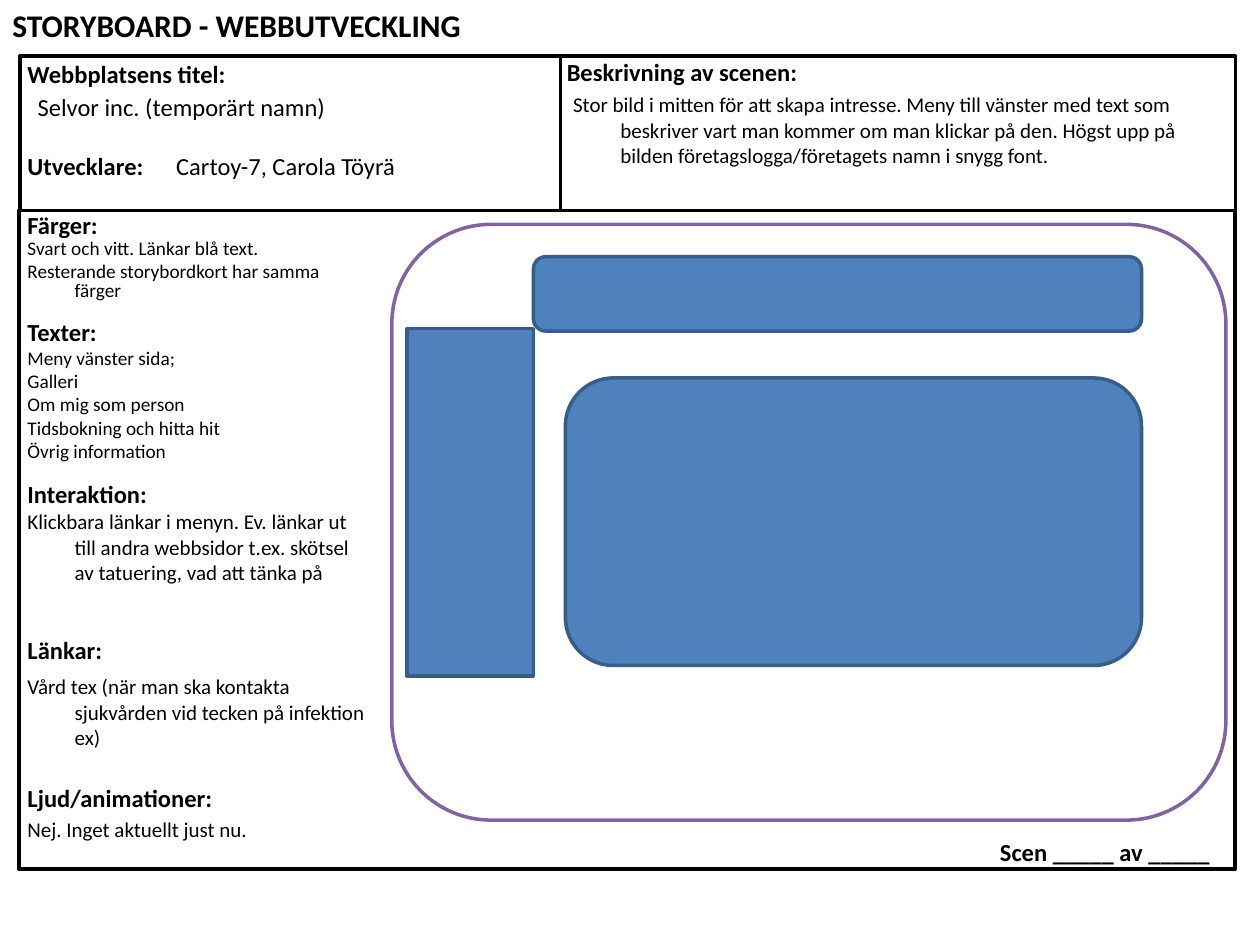
from pptx import Presentation
from pptx.dml.color import RGBColor
from pptx.enum.shapes import MSO_SHAPE as Shape
from pptx.util import Pt

BLACK = RGBColor(0x00, 0x00, 0x00)
WHITE = RGBColor(0xFF, 0xFF, 0xFF)
PURPLE = RGBColor(0x80, 0x64, 0xA2)
BLUE = RGBColor(0x4F, 0x81, 0xBD)
DARK_BLUE = RGBColor(0x38, 0x5D, 0x8A)


class Storyboard:
    font_name = "Calibri"
    line_width = 2
    hanging = 27
    heading_size = 14

    def __init__(self, slide):
        self.slide = slide

    def panel(self, kind, left, top, width, height, fill=WHITE, line=BLACK):
        shape = self.slide.shapes.add_shape(
            kind, Pt(left), Pt(top), Pt(width), Pt(height))
        shape.shadow.inherit = False
        shape.fill.solid()
        shape.fill.fore_color.rgb = fill
        shape.line.color.rgb = line
        shape.line.width = Pt(self.line_width)

    def block(self, kind, left, top, width, height):
        self.panel(kind, left, top, width, height, BLUE, DARK_BLUE)

    def text_frame(self, left, top, width, height):
        box = self.slide.shapes.add_textbox(
            Pt(left), Pt(top), Pt(width), Pt(height))
        box.text_frame.word_wrap = True
        return box.text_frame

    def add_run(self, paragraph, text, size, bold=False):
        run = paragraph.add_run()
        run.text = text
        run.font.name = self.font_name
        run.font.size = Pt(size)
        run.font.bold = bold
        run.font.color.rgb = BLACK

    def heading(self, text, left, top, width=175.5, size=heading_size):
        frame = self.text_frame(left, top, width, size + 10.5)
        self.add_run(frame.paragraphs[0], text, size, bold=True)

    def body(self, lines, left, top, width, height, size=12, spacing=1.0):
        """Add one hanging-indent paragraph for each line."""
        frame = self.text_frame(left, top, width, height)
        for index, line in enumerate(lines):
            paragraph = frame.add_paragraph() if index else frame.paragraphs[0]
            properties = paragraph._p.get_or_add_pPr()
            properties.set("marL", str(Pt(self.hanging)))
            properties.set("indent", str(-Pt(self.hanging)))
            paragraph.line_spacing = spacing
            paragraph.space_before = Pt(2.8 if index else 0)
            self.add_run(paragraph, line, size)


def main():
    presentation = Presentation()
    presentation.slide_width, presentation.slide_height = Pt(720), Pt(540)
    slide = presentation.slides.add_slide(presentation.slide_layouts[6])
    board = Storyboard(slide)

    # Frames
    board.panel(Shape.RECTANGLE, 11.5, 31.9, 308.9, 88.3)
    board.panel(Shape.RECTANGLE, 320.4, 31.9, 385.6, 88.3)
    board.panel(Shape.RECTANGLE, 10.8, 120.2, 695, 376.5)
    board.panel(Shape.ROUNDED_RECTANGLE, 223.9, 128.2, 476.6, 340.4,
                line=PURPLE)

    # Page header
    board.heading("STORYBOARD - WEBBUTVECKLING", 0, 0, 326, size=18)
    board.heading("Beskrivning av scenen:", 316.8, 28.8, 198.7)
    board.heading("Scen _____ av _____", 564.3, 474.5, 140)
    board.body(["Selvor inc. (temporärt namn)"], 14.4, 49, 300, 28, size=14)
    board.body(["Cartoy-7, Carola Töyrä"], 93.6, 82.8, 221, 28, size=14)
    board.body(["Stor bild i mitten för att skapa intresse. Meny till vänster "
                "med text som beskriver vart man kommer om man klickar på den. "
                "Högst upp på bilden företagslogga/företagets namn i snygg "
                "font."], 320.4, 49, 385.6, 67.7)

    # Left column
    column_left, column_width = 8.6, 209.5
    headings = [
        ("Webbplatsens titel:", 30.2),
        ("Utvecklare:", 82.8),
        ("Färger:", 116.6),
        ("Texter:", 177.8),
        ("Interaktion:", 270),
        ("Länkar:", 359.3),
        ("Ljud/animationer:", 444.2),
    ]
    for text, top in headings:
        board.heading(text, column_left, top)

    details = [
        (["Svart och vitt. Länkar blå text.",
          "Resterande storybordkort har samma färger"], 133.9, 45.4, 11, 0.8),
        (["Meny vänster sida;", "Galleri", "Om mig som person",
          "Tidsbokning och hitta hit", "Övrig information"],
         196.6, 73.4, 11, 0.8),
        (["Klickbara länkar i menyn. Ev. länkar ut till andra webbsidor t.ex. "
          "skötsel av tatuering, vad att tänka på"], 287.3, 73.4, 12, 1.0),
        (["Vård tex (när man ska kontakta sjukvården vid tecken på infektion "
          "ex)"], 381.6, 64.1, 12, 1.0),
        (["Nej. Inget aktuellt just nu."], 463, 33.8, 12, 1.0),
    ]
    for lines, top, height, size, spacing in details:
        board.body(lines, column_left, top, column_width, height, size, spacing)

    # Page sketch: main picture, menu and banner
    board.block(Shape.FLOWCHART_ALTERNATE_PROCESS, 323.1, 216, 329.2, 164.3)
    board.block(Shape.RECTANGLE, 232.6, 187.7, 72.2, 198.6)
    board.block(Shape.ROUNDED_RECTANGLE, 304.8, 146.7, 347.5, 42.5)

    presentation.save("out.pptx")


if __name__ == "__main__":
    main()
